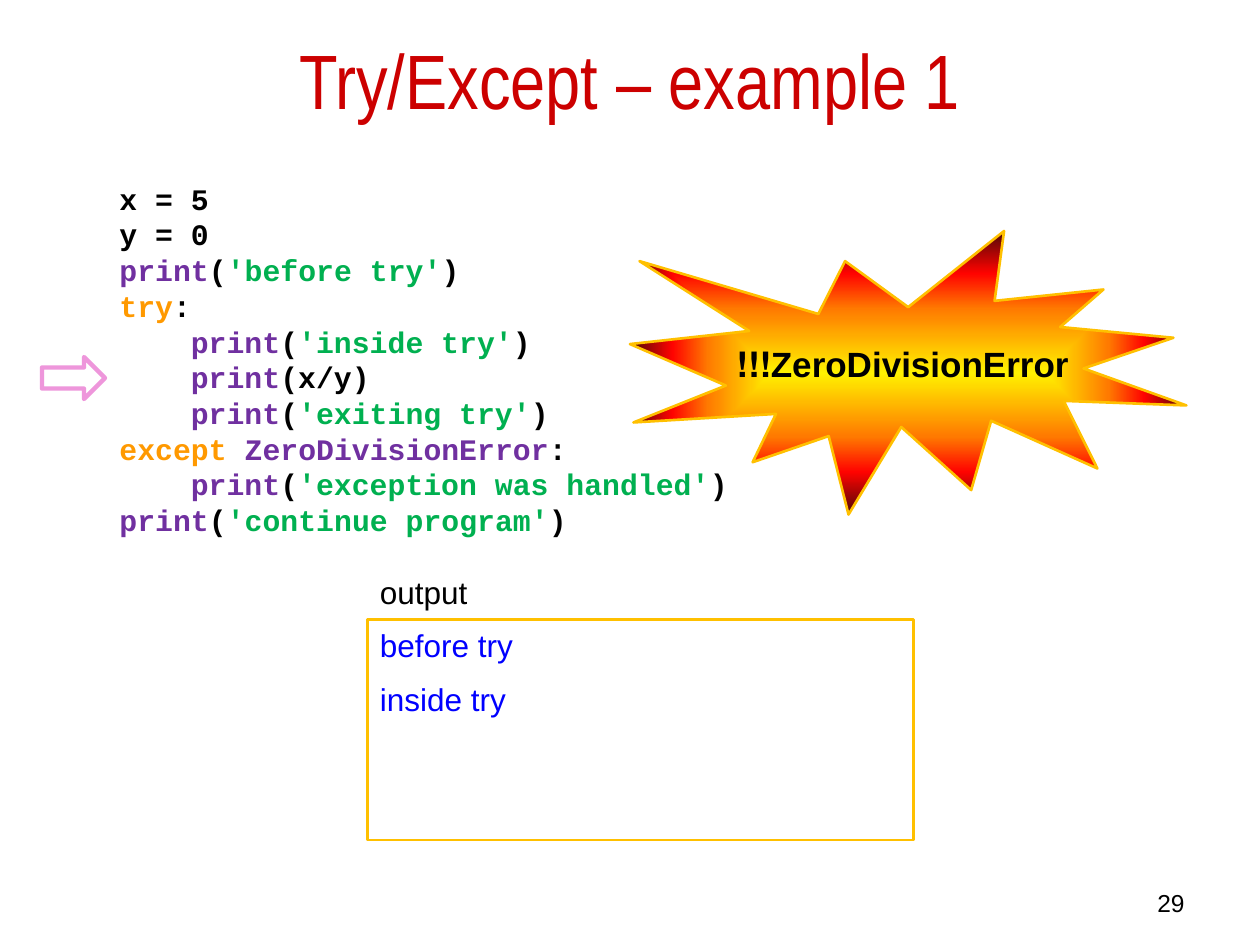
from pptx import Presentation
from pptx.dml.color import RGBColor
from pptx.enum.shapes import MSO_SHAPE
from pptx.enum.text import MSO_ANCHOR, PP_ALIGN
from pptx.oxml import parse_xml
from pptx.oxml.ns import nsdecls, qn
from pptx.util import Inches, Pt

COLORS = {
    "title": "CC0000", "plain": "000000", "name": "7030A0", "string": "00B050",
    "keyword": "FF9900", "output": "0000FF", "frame": "FFC000", "arrow": "EE96DB",
}
BURST_STOPS = {0: "FFF200", 45: "FF7A00", 70: "FF0300", 100: "4D0808"}
CELL = Inches(10) / 120
CODE_SIZE = 17
INDENT = Pt(4 * 0.6 * CODE_SIZE)


def place(left, top, width, height):
    """Turn grid columns and rows into slide lengths."""
    return [round(count * CELL) for count in (left, top, width, height)]


def color(name):
    """Look up a named colour."""
    return RGBColor.from_string(COLORS[name])


def write(box, lines, size=18, font="Arial", bold=False, align=PP_ALIGN.LEFT,
          anchor=MSO_ANCHOR.TOP, wrap=True, gap=0, rtl=False):
    """Fill a box with lines, each an indent level and its coloured spans."""
    frame = box.text_frame
    frame.word_wrap = wrap
    frame.vertical_anchor = anchor
    for index, (level, spans) in enumerate(lines):
        para = frame.paragraphs[0] if index == 0 else frame.add_paragraph()
        para.alignment = align
        para.space_after = Pt(gap)
        properties = para._p.get_or_add_pPr()
        properties.set("marL", str(level * INDENT))
        if rtl:
            properties.set("rtl", "1")
        for text, tone in spans:
            span = para.add_run()
            span.text = text
            span.font.name = font
            span.font.size = Pt(size)
            span.font.bold = bold
            span.font.color.rgb = color(tone)


def add_text(shapes, area, text, tone="plain", **style):
    """Add a text box with one line."""
    write(shapes.add_textbox(*place(*area)), [(0, [(text, tone)])], **style)


def add_outline(shapes, kind, area, tone, width):
    """Add an unfilled preset shape with a coloured line."""
    shape = shapes.add_shape(kind, *place(*area))
    shape.shadow.inherit = False
    shape.fill.background()
    shape.line.color.rgb = color(tone)
    shape.line.width = Pt(width)
    return shape


def fill_from_centre(shape, stops):
    """Give a shape a rectangular gradient that starts at its centre."""
    marks = "".join(
        f'<a:gs pos="{share * 1000}"><a:srgbClr val="{value}"/></a:gs>'
        for share, value in stops.items())
    gradient = parse_xml(
        f'<a:gradFill {nsdecls("a")} rotWithShape="1"><a:gsLst>{marks}</a:gsLst>'
        '<a:path path="rect"><a:fillToRect l="50000" t="50000" r="50000" b="50000"/>'
        '</a:path></a:gradFill>')
    properties = shape._element.spPr
    properties.replace(properties.find(qn("a:noFill")), gradient)


def print_line(argument, level=0, tone="string"):
    """Describe a code line that calls print."""
    return level, [("print", "name"), ("(", "plain"), (argument, tone), (")", "plain")]


def add_code(shapes):
    """Add the code listing."""
    lines = [
        (0, [("x = 5", "plain")]),
        (0, [("y = 0", "plain")]),
        print_line("'before try'"),
        (0, [("try", "keyword"), (":", "plain")]),
        print_line("'inside try'", 1),
        print_line("x/y", 1, "plain"),
        print_line("'exiting try'", 1),
        (0, [("except ", "keyword"), ("ZeroDivisionError", "name"), (":", "plain")]),
        print_line("'exception was handled'", 1),
        print_line("'continue program'"),
    ]
    box = shapes.add_textbox(*place(10.2, 16.6, 61, 35.5))
    write(box, lines, size=CODE_SIZE, font="Courier New", bold=True, wrap=False)


def add_output(shapes):
    """Add the output frame and its label."""
    frame = add_outline(shapes, MSO_SHAPE.RECTANGLE, (35, 59, 52, 21), "frame", 1.5)
    write(frame, [(0, [(text, "output")]) for text in ("before try", "inside try")], gap=9.5)
    add_text(shapes, (35, 54, 17, 5), "output")


def add_burst(shapes):
    """Add the grouped burst with the error name."""
    group = shapes.add_group_shape().shapes
    burst = add_outline(group, MSO_SHAPE.EXPLOSION1, (60, 22, 53, 27), "frame", 1.5)
    fill_from_centre(burst, BURST_STOPS)
    add_text(group, (68, 32, 35, 9), "ZeroDivisionError!!!", size=20, bold=True,
             align=PP_ALIGN.RIGHT, rtl=True)


def main():
    """Build the slide and save the deck."""
    deck = Presentation()
    deck.slide_width, deck.slide_height = Inches(10), Inches(7.5)
    page = deck.slides.add_slide(deck.slide_layouts[6])
    shapes = page.shapes
    add_text(shapes, (6, 0, 108, 15), "Try/Except – example 1", "title", size=44,
             font="Arial Narrow", align=PP_ALIGN.CENTER, anchor=MSO_ANCHOR.MIDDLE)
    add_text(shapes, (86, 84, 28, 3), "29", size=14, align=PP_ALIGN.RIGHT)
    add_outline(shapes, MSO_SHAPE.RIGHT_ARROW, (4, 34, 6, 4), "arrow", 2.5)
    add_output(shapes)
    add_burst(shapes)
    add_code(shapes)
    deck.save("out.pptx")


if __name__ == "__main__":
    main()
